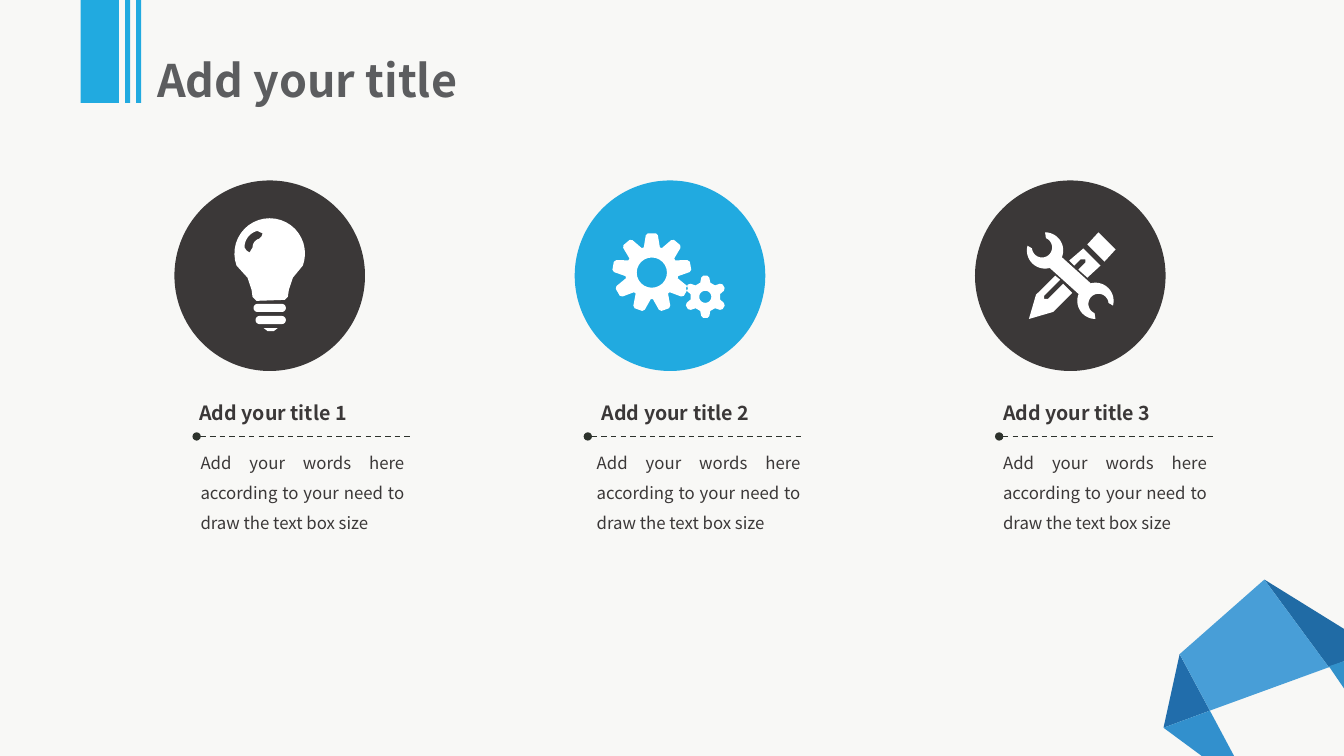
"""Build a slide with three titled icon columns and a folded-paper corner."""
from math import cos, radians, sin

from lxml.etree import SubElement
from pptx import Presentation
from pptx.dml.color import RGBColor
from pptx.enum.dml import MSO_LINE
from pptx.enum.shapes import MSO_CONNECTOR, MSO_SHAPE
from pptx.enum.text import MSO_AUTO_SIZE, PP_ALIGN
from pptx.oxml.ns import qn
from pptx.util import Inches, Pt

FONT = "Noto Sans CJK SC"
DARK, BLUE, WHITE = "3B3838", "21AAE0", "FFFFFF"
DISC_SIZE, DISC_TOP = 1.89, 1.79
RULE_TOP, RULE_LENGTH = 4.33, 2.14
BODY = "Add your words here according to your need to draw the text box size"
FACETS = [
    ("216DAB", [(11.54, 7.22), (11.7, 6.49), (12, 7.05)]),
    ("206BA5", [(13.18, 6.62), (12.54, 5.75), (13.33, 6.24), (13.33, 6.56)]),
    ("3290CD", [(12.24, 7.5), (11.92, 7.5), (11.54, 7.22), (12, 7.05)]),
    ("489ED7", [(12, 7.05), (11.7, 6.49), (12.54, 5.75), (13.18, 6.62)]),
    ("3291CA", [(13.33, 6.83), (13.18, 6.61), (13.33, 6.56)]),
]


def color(value):
    """Turn a hex string into a colour."""
    return RGBColor.from_string(value)


def paint(shape, fill):
    """Give a shape a plain fill without line or shadow."""
    shape.fill.solid()
    shape.fill.fore_color.rgb = color(fill)
    shape.line.fill.background()
    shape.shadow.inherit = False


def add_preset(slide, kind, left, top, width, height, fill):
    """Add a filled preset shape."""
    box = (Inches(length) for length in (left, top, width, height))
    paint(slide.shapes.add_shape(kind, *box), fill)


def add_outline(slide, contours, fill, center=(0, 0)):
    """Add one freeform made of closed contours around a center."""
    builder = None
    for contour in contours:
        points = [(Inches(center[0] + x), Inches(center[1] + y)) for x, y in contour]
        if builder is None:
            builder = slide.shapes.build_freeform(*points[0], scale=1.0)
        else:
            builder.move_to(*points[0])
        builder.add_line_segments(points[1:], close=True)
    paint(builder.convert_to_shape(), fill)


def add_text(slide, text, left, top, width, height, size, fill,
             bold=False, wrap=True, inset=True):
    """Add a text box with one paragraph and return the paragraph."""
    box = (Inches(length) for length in (left, top, width, height))
    frame = slide.shapes.add_textbox(*box).text_frame
    frame.word_wrap = wrap
    frame.auto_size = MSO_AUTO_SIZE.SHAPE_TO_FIT_TEXT
    if not inset:
        frame.margin_left = frame.margin_right = 0
        frame.margin_top = frame.margin_bottom = 0
    paragraph = frame.paragraphs[0]
    paragraph.text = text
    font = paragraph.font
    font.name, font.size, font.bold = FONT, Pt(size), bold
    font.color.rgb = color(fill)
    return paragraph


def add_rule(slide, left):
    """Add a dashed rule that starts with a dot."""
    top = Inches(RULE_TOP)
    rule = slide.shapes.add_connector(
        MSO_CONNECTOR.STRAIGHT, Inches(left), top, Inches(left + RULE_LENGTH), top)
    rule.line.color.rgb = color("2D322C")
    rule.line.width = Pt(1)
    rule.line.dash_style = MSO_LINE.DASH
    properties = rule.line._get_or_add_ln()
    SubElement(properties, qn("a:headEnd"), type="oval")
    SubElement(properties.getparent(), qn("a:effectLst"))


def arc(x, y, radius, start, end, steps=24):
    """List points on an arc, with angles in degrees clockwise from the right."""
    angles = [radians(start + (end - start) * step / steps) for step in range(steps + 1)]
    return [(x + radius * cos(angle), y + radius * sin(angle)) for angle in angles]


def pill(x, y, half_width, radius):
    """List the outline of a bar with round ends."""
    reach = half_width - radius
    return arc(x - reach, y, radius, 90, 270) + arc(x + reach, y, radius, -90, 90)


def bulb():
    """List the contours of a light bulb."""
    glass = arc(0, -0.22, 0.35, 160, 380) + [
        (0.23, 0.02), (0.19, 0.14), (0.18, 0.21), (0.15, 0.24),
        (-0.13, 0.25), (-0.17, 0.21), (-0.18, 0.14), (-0.22, 0.02)]
    shine = (arc(-0.08, -0.28, 0.17, 180, 255) + [(-0.07, -0.42), (-0.08, -0.39)]
             + arc(-0.08, -0.28, 0.09, 255, 180) + [(-0.2, -0.23), (-0.23, -0.25)])
    tip = [(-0.06, 0.52), (-0.02, 0.55), (0.04, 0.55), (0.08, 0.52)]
    return [glass, shine, pill(0, 0.32, 0.16, 0.04), pill(0.01, 0.44, 0.15, 0.04), tip]


def gear(x, y, teeth, outer, root, tip_half, root_half, hole):
    """List the contours of a gear with a round hole."""
    bevel = 0.02
    side = [(root, root_half), (outer - bevel, tip_half), (outer, tip_half - bevel)]
    tooth = [(out, -across) for out, across in side] + side[::-1]
    rim = []
    for index in range(teeth):
        angle = radians(360 * index / teeth - 90)
        rim += [(x + out * cos(angle) - across * sin(angle),
                 y + out * sin(angle) + across * cos(angle)) for out, across in tooth]
    return [rim, arc(x, y, hole, 0, 360)]


def gears():
    """List the contours of a large and a small gear."""
    return (gear(-0.18, -0.03, 9, 0.39, 0.25, 0.06, 0.08, 0.15)
            + gear(0.35, 0.21, 6, 0.21, 0.14, 0.04, 0.05, 0.06))


def tools():
    """List the contours of a pencil crossed by a wrench."""
    eraser = [(0.34, -0.14), (0.45, -0.26), (0.28, -0.43), (0.17, -0.31)]
    upper = [(0.3, -0.1), (0.17, 0.02), (0.08, -0.06), (0.15, -0.13), (0.15, -0.16),
             (0.1, -0.16), (0.04, -0.1), (-0.01, -0.15), (0.13, -0.27)]
    lower = [(0.02, 0.17), (-0.07, 0.08), (-0.22, 0.23), (-0.26, 0.23), (-0.26, 0.2),
             (-0.1, 0.04), (-0.15, 0), (-0.34, 0.19), (-0.41, 0.43), (-0.17, 0.36)]
    jaw = (arc(-0.25, -0.25, 0.18, 75, 195) + arc(-0.28, -0.28, 0.1, 175, -67)
           + arc(-0.25, -0.25, 0.18, -90, 22))
    return [eraser, upper, lower, jaw + [(-x, -y) for x, y in jaw]]


def add_column(slide, number, fill, icon, heading_left, rule_left, body_left):
    """Add a disc with its icon, heading, rule and words."""
    disc_left = 1.73 + 3.97 * (number - 1)
    add_preset(slide, MSO_SHAPE.OVAL, disc_left, DISC_TOP, DISC_SIZE, DISC_SIZE, fill)
    center = (disc_left + DISC_SIZE / 2, DISC_TOP + DISC_SIZE / 2)
    add_outline(slide, icon, WHITE, center)
    add_text(slide, f"Add your title {number}", heading_left, 3.93, 1.73, 0.34,
             14, DARK, bold=True, wrap=False)
    add_rule(slide, rule_left)
    words = add_text(slide, BODY, body_left, 4.34, 2.22, 1.01, 12, DARK)
    words.alignment = PP_ALIGN.JUSTIFY
    words.line_spacing = 1.5


def main():
    """Build and save the slide."""
    presentation = Presentation()
    presentation.slide_width, presentation.slide_height = Inches(13.33), Inches(7.5)
    slide = presentation.slides.add_slide(presentation.slide_layouts[6])
    slide.background.fill.solid()
    slide.background.fill.fore_color.rgb = color("F8F8F6")
    for fill, corners in FACETS:
        add_outline(slide, [corners], fill)
    add_column(slide, 1, DARK, bulb(), 1.88, 1.95, 1.89)
    add_column(slide, 2, BLUE, gears(), 5.87, 5.83, 5.82)
    add_column(slide, 3, DARK, tools(), 9.85, 9.91, 9.85)
    title = add_text(slide, "Add your title", 1.56, 0.42, 3.97, 0.65, 32, "5C5D5F",
                     bold=True, inset=False)
    title.line_spacing = 1.2
    for left, width in ((0.8, 0.38), (1.24, 0.05), (1.35, 0.05)):
        add_preset(slide, MSO_SHAPE.RECTANGLE, left, 0, width, 1.02, BLUE)
    presentation.save("out.pptx")


if __name__ == "__main__":
    main()
